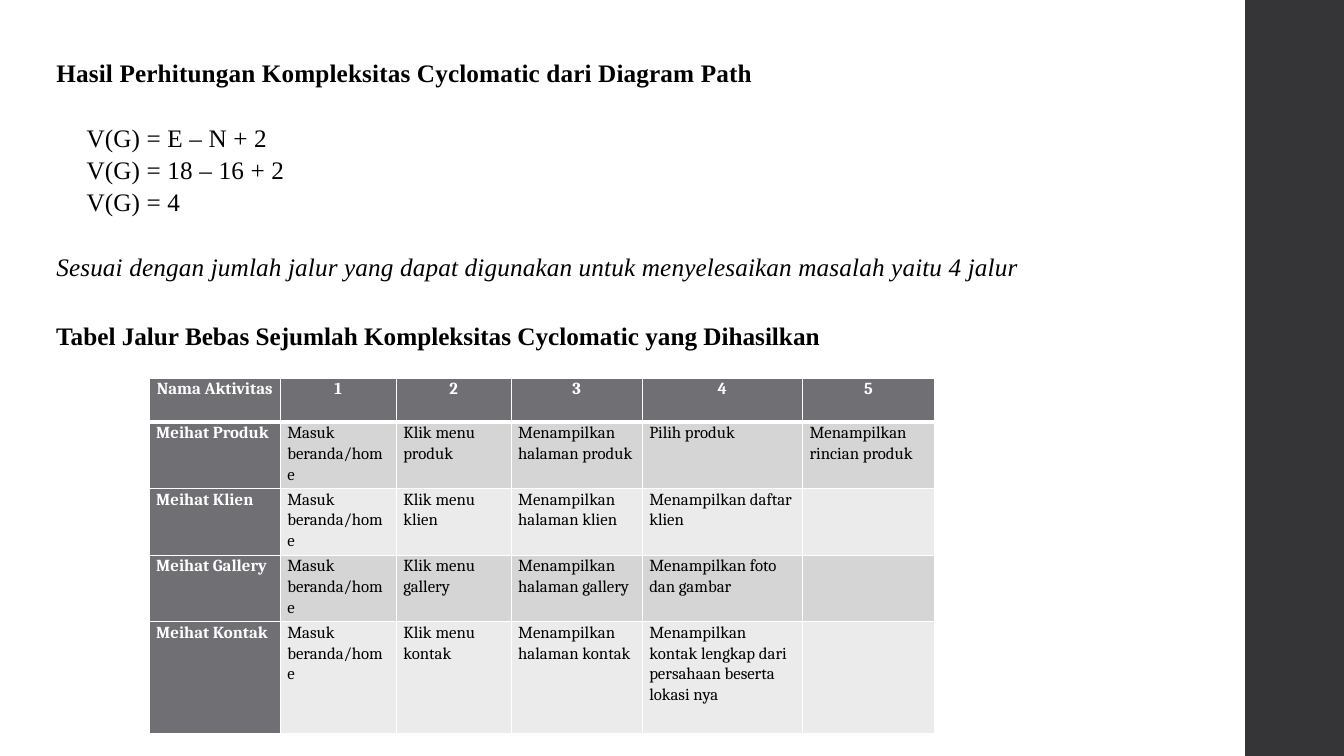
from pptx import Presentation
from pptx.dml.color import RGBColor
from pptx.enum.shapes import MSO_SHAPE
from pptx.enum.text import MSO_ANCHOR, MSO_AUTO_SIZE, PP_ALIGN
from pptx.oxml import parse_xml
from pptx.oxml.ns import nsdecls
from pptx.util import Inches, Pt

BLACK = RGBColor(0x00, 0x00, 0x00)
WHITE = RGBColor(0xFF, 0xFF, 0xFF)
SIDEBAR = RGBColor(0x35, 0x35, 0x37)
HEADER = RGBColor(0x6F, 0x6F, 0x74)
BANDS = (RGBColor(0xD5, 0xD5, 0xD6), RGBColor(0xEB, 0xEB, 0xEB))

FORMULAS = ["V(G) = E – N + 2", "V(G) = 18 – 16 + 2", "V(G) = 4"]
CONCLUSION = ("Sesuai dengan jumlah jalur yang dapat digunakan untuk "
              "menyelesaikan masalah yaitu 4 jalur")
HOME = "Masuk beranda/home"
PATHS = [
    ("Nama Aktivitas", "1", "2", "3", "4", "5"),
    ("Meihat Produk", HOME, "Klik menu produk", "Menampilkan halaman produk",
     "Pilih produk", "Menampilkan rincian produk"),
    ("Meihat Klien", HOME, "Klik menu klien", "Menampilkan halaman klien",
     "Menampilkan daftar klien", ""),
    ("Meihat Gallery", HOME, "Klik menu gallery", "Menampilkan halaman gallery",
     "Menampilkan foto dan gambar", ""),
    ("Meihat Kontak", HOME, "Klik menu kontak", "Menampilkan halaman kontak",
     "Menampilkan kontak lengkap dari persahaan beserta lokasi nya", ""),
]
COLUMN_WIDTHS = [1.3, 1.15, 1.14, 1.3, 1.59, 1.31]
ROW_HEIGHTS = [0.44, 0.66, 0.66, 0.66, 1.11]


class SlideBuilder:
    text_font = "Times New Roman"
    table_font = "Cambria"
    text_size = Pt(18)
    table_size = Pt(12)
    line_spacing = 1.07

    def __init__(self, slide):
        self.slide = slide

    def style(self, paragraph, font=text_font, size=text_size, color=BLACK,
              bold=False, italic=False, tracking=0):
        for run in paragraph.runs:
            run.font.name = font
            run.font.size = size
            run.font.color.rgb = color
            run.font.bold = bold
            run.font.italic = italic
            if tracking:
                run._r.get_or_add_rPr().set("spc", str(tracking))

    def place(self, shape, left, top, width, height):
        shape.left, shape.top = Inches(left), Inches(top)
        shape.width, shape.height = Inches(width), Inches(height)

    def bar(self, left, top, width, height, color):
        shape = self.slide.shapes.add_shape(
            MSO_SHAPE.RECTANGLE, Inches(left), Inches(top), Inches(width), Inches(height))
        shape.shadow.inherit = False
        shape.fill.solid()
        shape.fill.fore_color.rgb = color
        shape.line.fill.background()

    def title(self, text, *box):
        shape = self.slide.shapes.title
        self.place(shape, *box)
        frame = shape.text_frame
        frame.text = text
        frame.word_wrap = True
        frame.auto_size = MSO_AUTO_SIZE.NONE
        frame.vertical_anchor = MSO_ANCHOR.TOP
        paragraph = frame.paragraphs[0]
        paragraph.alignment = PP_ALIGN.LEFT
        paragraph.line_spacing = 1.05
        self.style(paragraph, bold=True, tracking=10)

    def text_box(self, text, left, top, width, height):
        shape = self.slide.shapes.add_textbox(
            Inches(left), Inches(top), Inches(width), Inches(height))
        frame = shape.text_frame
        frame.word_wrap = True
        frame.text = text
        return frame

    def heading(self, text, *box):
        frame = self.text_box(text, *box)
        frame.vertical_anchor = MSO_ANCHOR.MIDDLE
        self.style(frame.paragraphs[0], bold=True)

    def calculation(self, formulas, conclusion, *box):
        frame = self.text_box("\n".join([*formulas, conclusion]), *box)
        *steps, closing = frame.paragraphs
        for paragraph in steps:
            paragraph._p.get_or_add_pPr().set("marL", str(Inches(0.3)))
            paragraph.line_spacing = self.line_spacing
            self.style(paragraph, tracking=10)
        closing.line_spacing = self.line_spacing
        closing.space_before = Pt(23)
        self.style(closing, italic=True, tracking=10)

    def borders(self, cell, bottom_width):
        properties = cell._tc.get_or_add_tcPr()
        widths = {"lnL": 1, "lnR": 1, "lnT": 1, "lnB": bottom_width}
        for position, (tag, width) in enumerate(widths.items()):
            properties.insert(position, parse_xml(
                f'<a:{tag} {nsdecls("a")} w="{Pt(width)}"><a:solidFill>'
                f'<a:srgbClr val="{WHITE}"/></a:solidFill></a:{tag}>'))

    def table(self, rows, widths, heights, left, top):
        table = self.slide.shapes.add_table(
            len(rows), len(widths), Inches(left), Inches(top),
            Inches(sum(widths)), Inches(sum(heights))).table
        table.first_col = True
        for column, width in zip(table.columns, widths):
            column.width = Inches(width)
        for row, height in zip(table.rows, heights):
            row.height = Inches(height)
        for i, values in enumerate(rows):
            for j, value in enumerate(values):
                is_label = i == 0 or j == 0
                cell = table.cell(i, j)
                cell.margin_left = cell.margin_right = Inches(0.07)
                cell.margin_top = cell.margin_bottom = 0
                cell.fill.solid()
                cell.fill.fore_color.rgb = HEADER if is_label else BANDS[(i - 1) % 2]
                self.borders(cell, 3 if i == 0 else 1)
                if not value:
                    continue
                cell.text_frame.text = value
                paragraph = cell.text_frame.paragraphs[0]
                paragraph.alignment = PP_ALIGN.CENTER if i == 0 else PP_ALIGN.LEFT
                paragraph.line_spacing = self.line_spacing
                self.style(paragraph, self.table_font, self.table_size,
                           WHITE if is_label else BLACK, bold=is_label)


def main():
    presentation = Presentation()
    presentation.slide_width = Inches(13.33)
    presentation.slide_height = Inches(7.5)
    builder = SlideBuilder(presentation.slides.add_slide(presentation.slide_layouts[5]))
    builder.bar(12.35, 0, 1, 7.5, SIDEBAR)
    builder.title("Hasil Perhitungan Kompleksitas Cyclomatic dari Diagram Path",
                  0.46, 0.5, 11.62, 0.45)
    builder.calculation(FORMULAS, CONCLUSION, 0.46, 1.14, 11.62, 1.8)
    builder.table(PATHS, COLUMN_WIDTHS, ROW_HEIGHTS, 1.48, 3.75)
    builder.heading("Tabel Jalur Bebas Sejumlah Kompleksitas Cyclomatic yang Dihasilkan",
                    0.46, 3.13, 8.13, 0.4)
    presentation.save("out.pptx")


if __name__ == "__main__":
    main()
